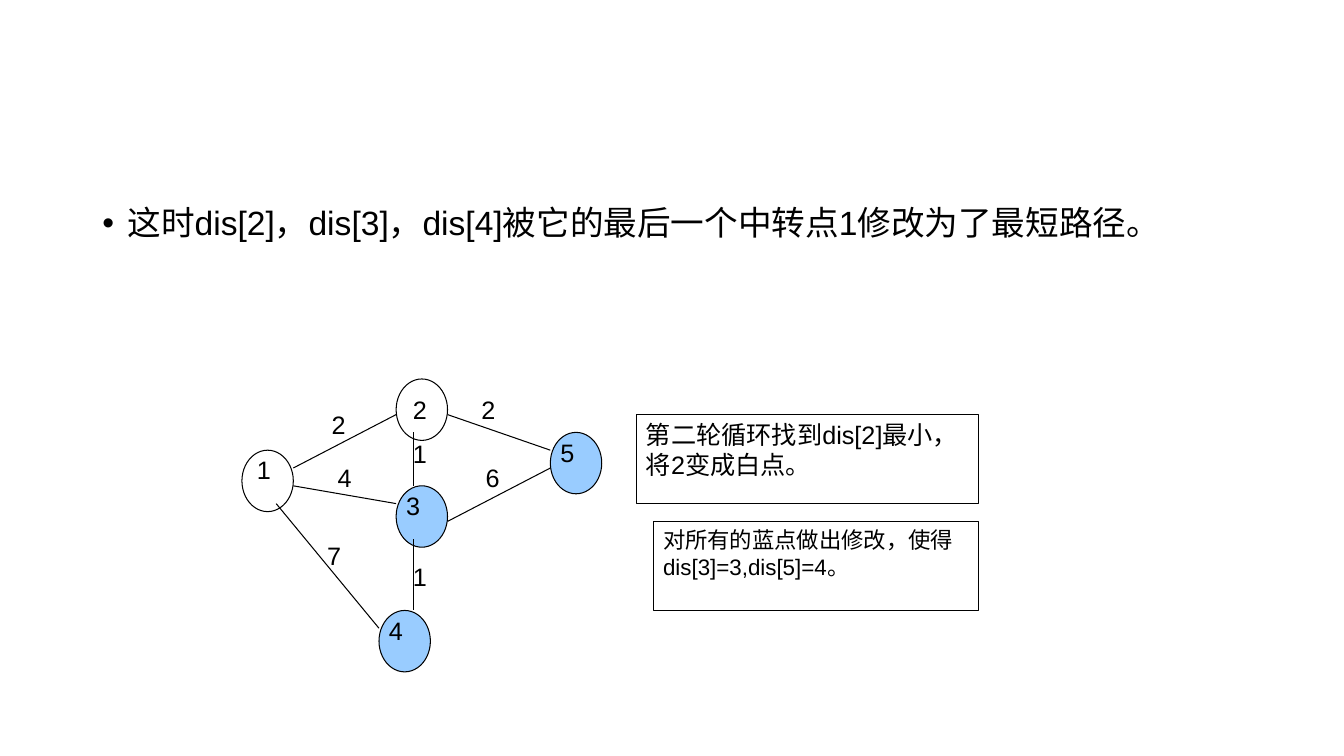
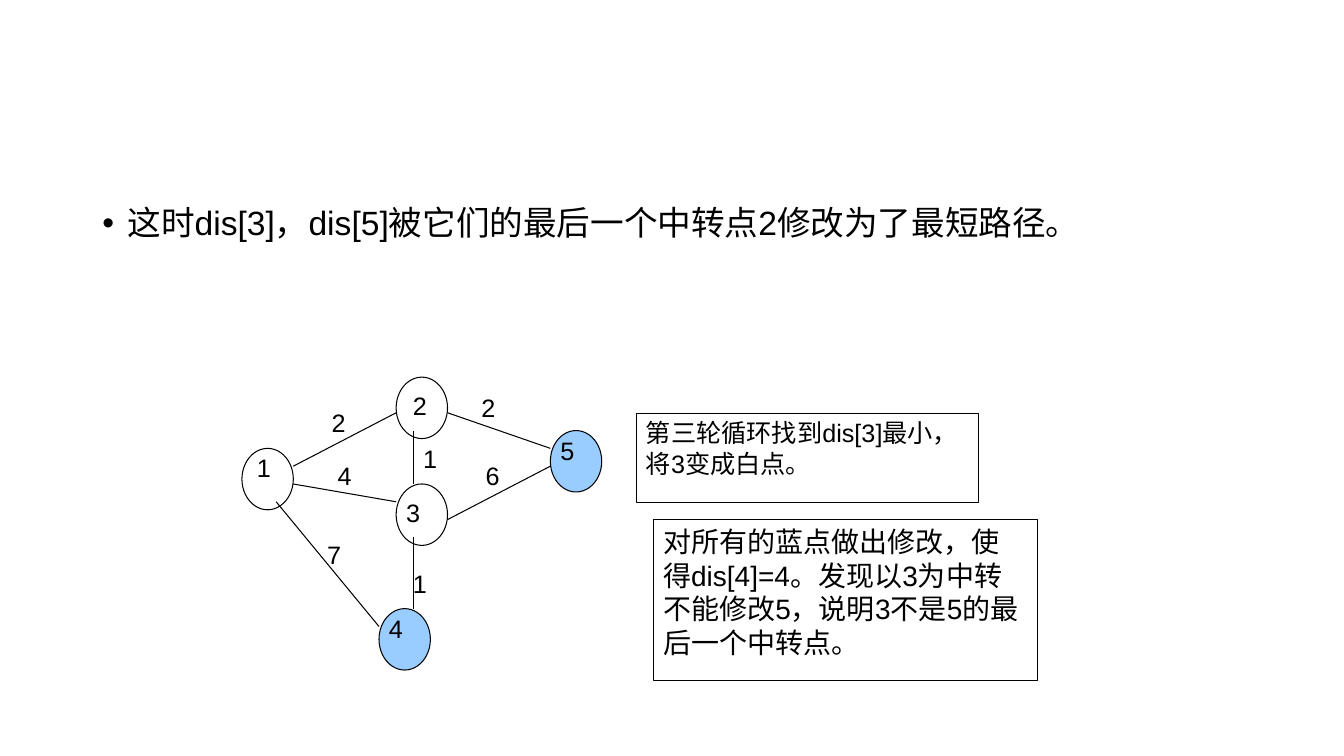
"""Build two slides that step through a shortest-path search on one graph."""
import dataclasses

import lxml.etree
import pptx
import pptx.dml.color
import pptx.enum.shapes
import pptx.enum.text
import pptx.oxml.ns
import pptx.util

Pt = pptx.util.Pt
SHAPE = pptx.enum.shapes.MSO_SHAPE
qn = pptx.oxml.ns.qn


@dataclasses.dataclass(frozen=True)
class Theme:
    """Hold the colours, type sizes and line widths of the deck."""
    ink: str = "000000"
    white: str = "FFFFFF"
    blue: str = "99CCFF"
    font: str = "Arial"
    body: int = 24
    label: int = 18
    edge: float = 0.75
    frame: float = 0.25


THEME = Theme()
STEP_X, STEP_Y = 12.24, 12.72
NODE_W, NODE_H = 3, 3.45
NODES = {1: (0, 4), 2: (9, 0), 4: (8, 13), 3: (9, 6), 5: (18, 3)}
EDGES = [(3, 5, 9, 2), (2, 7, 8, 14), (3, 6, 9, 7), (10, 3, 10, 6),
         (10, 9, 10, 13), (12, 8, 18, 5), (12, 2, 18, 4)]
MARKS = {"n1": (0.3, 3.95), "n2": (9.4, 0.6), "n3": (9, 6), "n4": (8, 13),
         "n5": (18, 3), "w12": (4.65, 1.4), "w13": (5, 4.4),
         "w14": (4.4, 8.8), "w23": (9.4, 3.05), "w34": (9.4, 9.95),
         "w35": (13.65, 4.4), "w25": (13.4, 0.6)}
COSTS = {"w12": 2, "w13": 4, "w14": 7, "w23": 1, "w34": 1, "w35": 6, "w25": 2}


def color(code):
    """Turn a hex code into a colour."""
    return pptx.dml.color.RGBColor.from_string(code)


def place(box, x, y, w, h):
    """Turn grid units inside a box into lengths."""
    return (Pt(box[0] + x * STEP_X), Pt(box[1] + y * STEP_Y),
            Pt(w * STEP_X), Pt(h * STEP_Y))


def write(shape, text, size):
    """Write one left-aligned paragraph at the top and return it."""
    frame = shape.text_frame
    frame.word_wrap = True
    frame.vertical_anchor = pptx.enum.text.MSO_ANCHOR.TOP
    para = frame.paragraphs[0]
    para.alignment = pptx.enum.text.PP_ALIGN.LEFT
    run = para.add_run()
    run.text = text
    run.font.size = Pt(size)
    run.font.name = THEME.font
    run.font.color.rgb = color(THEME.ink)
    return para


def outline(parts, kind, area, width, fill=None):
    """Add an outlined shape, filled if a colour is given."""
    shape = parts.add_shape(kind, *area)
    shape.shadow.inherit = False
    shape.line.color.rgb = color(THEME.ink)
    shape.line.width = Pt(width)
    if fill:
        shape.fill.solid()
        shape.fill.fore_color.rgb = color(fill)
    else:
        shape.fill.background()
    return shape


def link(parts, box, ends):
    """Draw one edge between two grid points."""
    x1, y1, x2, y2 = ends
    start, stop = place(box, x1, y1, 0, 0), place(box, x2, y2, 0, 0)
    line = parts.add_connector(pptx.enum.shapes.MSO_CONNECTOR.STRAIGHT,
                               *start[:2], *stop[:2])
    line.line.color.rgb = color(THEME.ink)
    line.line.width = Pt(THEME.edge)
    lxml.etree.SubElement(line._element.spPr, qn("a:effectLst"))


def graph(parts, box, fills, moves):
    """Draw nodes, edges and their labels in a box."""
    for name, (x, y) in NODES.items():
        area = place(box, x, y, NODE_W, NODE_H)
        outline(parts, SHAPE.OVAL, area, THEME.edge, fills.get(name))
    for ends in EDGES:
        link(parts, box, ends)
    for key, (x, y) in {**MARKS, **moves}.items():
        mark = parts.add_textbox(*place(box, x, y, 3, 3))
        write(mark, str(COSTS.get(key, key[1:])), THEME.label)


def notes(parts, box, items):
    """Draw the framed notes beside the graph."""
    for area, text, size in items:
        frame = outline(parts, SHAPE.RECTANGLE, place(box, *area), THEME.frame)
        write(frame, text, size)


def bullet(slide, box, text):
    """Add the bulleted body line."""
    body = slide.shapes.add_textbox(*map(Pt, box))
    para = write(body, text, THEME.body)
    para.line_spacing = 0.9
    para.space_before = Pt(10)
    props = para._p.get_or_add_pPr()
    props.set("marL", str(Pt(18)))
    props.set("indent", str(Pt(-18)))
    lxml.etree.SubElement(props, qn("a:buFont"), typeface=THEME.font)
    lxml.etree.SubElement(props, qn("a:buChar"), char="•")


def page(deck, top, text, fills, moves, items):
    """Build one step of the search."""
    slide = deck.slides.add_slide(deck.slide_layouts[6])
    bullet(slide, (66, 144, 828, 342.7), text)
    box = (172.8, top)
    parts = slide.shapes.add_group_shape().shapes
    graph(parts, box, fills, moves)
    notes(parts, box, items)


def main():
    """Build and save the deck."""
    deck = pptx.Presentation()
    deck.slide_width, deck.slide_height = Pt(960), Pt(540)
    white, blue = THEME.white, THEME.blue
    page(deck, 270.7, "这时dis[2]，dis[3]，dis[4]被它的最后一个中转点1修改为了最短路径。",
         {2: white, 3: blue, 4: blue, 5: blue}, {},
         [((23, 2, 20, 5), "第二轮循环找到dis[2]最小，将2变成白点。", 18),
          ((24, 8, 19, 5), "对所有的蓝点做出修改，使得dis[3]=3,dis[5]=4。", 16)])
    page(deck, 269.4, "这时dis[3]，dis[5]被它们的最后一个中转点2修改为了最短路径。",
         {2: white, 3: white, 4: blue, 5: blue},
         {"n2": (9.4, 0.45), "n3": (9, 6.45),
          "w23": (10, 3.45), "w34": (9.4, 10.45)},
         [((23, 2, 20, 5), "第三轮循环找到dis[3]最小，将3变成白点。", 18),
          ((24, 8, 22.4, 9), "对所有的蓝点做出修改，使得dis[4]=4。"
           "发现以3为中转不能修改5，说明3不是5的最后一个中转点。", 20)])
    deck.save("out.pptx")


main()
